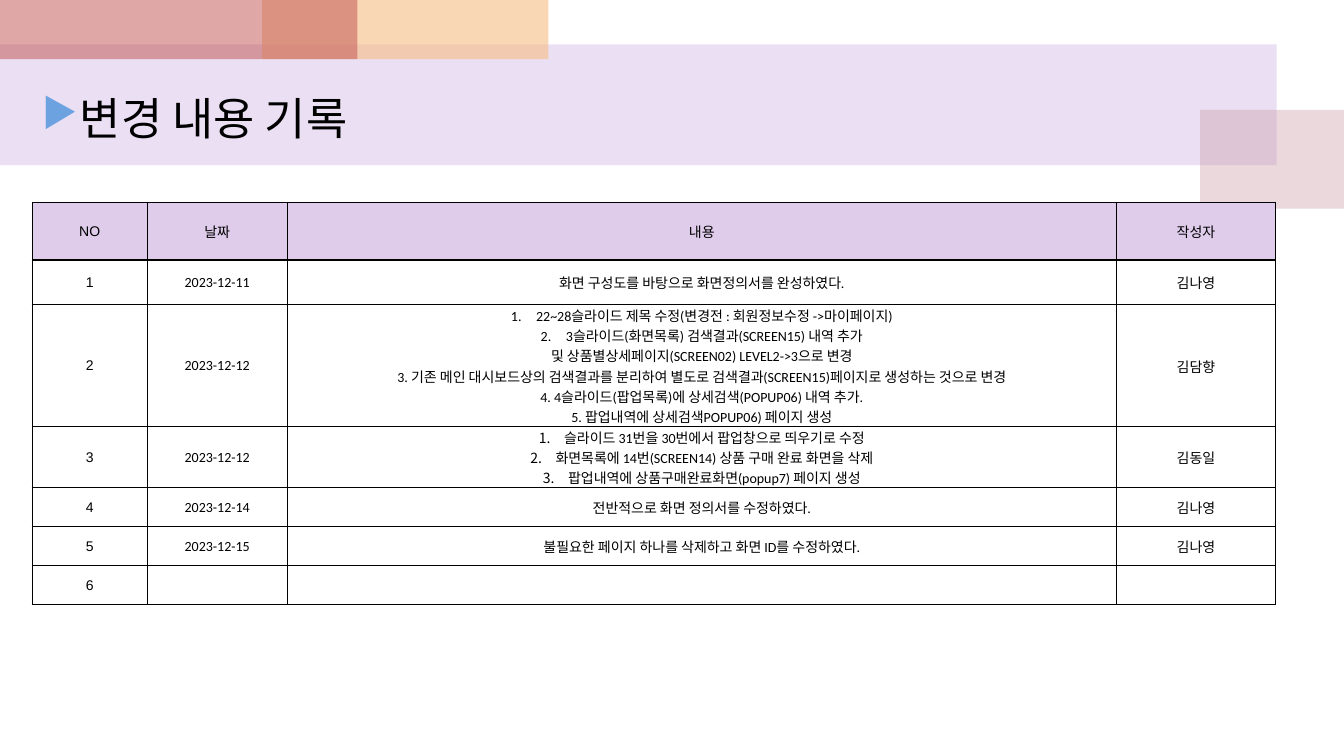
from dataclasses import dataclass

import pptx
import pptx.dml.color
import pptx.enum.shapes
import pptx.enum.text
import pptx.oxml.ns
import pptx.util
from lxml import etree

Pt = pptx.util.Pt
RGB = pptx.dml.color.RGBColor
ALIGN = pptx.enum.text.PP_ALIGN
MIDDLE = pptx.enum.text.MSO_ANCHOR.MIDDLE
qn = pptx.oxml.ns.qn

BLACK = RGB(0x00, 0x00, 0x00)
LILAC = RGB(0xBF, 0x98, 0xD8)
ROSE = RGB(0xCC, 0x9E, 0xAC)
PEACH = RGB(0xF5, 0xBC, 0x83)
RED = RGB(0xC0, 0x50, 0x4D)
BLUE = RGB(0x6B, 0xA2, 0xDF)
HEADER = RGB(0xDF, 0xCC, 0xEB)


@dataclass
class Band:
    left: float
    top: float
    width: float
    height: float
    color: RGB
    alpha: int


@dataclass
class Entry:
    height: float
    cells: tuple[str, str, str, str]
    listed: int = 0


BANDS = [
    Band(0, 31.7, 912, 86.4, LILAC, 30),
    Band(857.2, 78.5, 102.8, 70.5, ROSE, 40),
    Band(187.2, 0, 204.5, 42.3, PEACH, 60),
    Band(0, 0, 255.4, 42.3, RED, 50),
]

WIDTHS = [82.1, 100.1, 592.2, 113.8]

ENTRIES = [
    Entry(41, ("NO", "날짜", "내용", "작성자")),
    Entry(32, ("1", "2023-12-11", "화면 구성도를 바탕으로 화면정의서를 완성하였다.", "김나영")),
    Entry(87, ("2", "2023-12-12", "\n".join([
        "22~28슬라이드 제목 수정(변경전 : 회원정보수정 ->마이페이지)",
        "3슬라이드(화면목록) 검색결과(SCREEN15) 내역 추가",
        "및 상품별상세페이지(SCREEN02) LEVEL2->3으로 변경",
        "3. 기존 메인 대시보드상의 검색결과를 분리하여 별도로 검색결과(SCREEN15)페이지로 생성하는 것으로 변경",
        "4. 4슬라이드(팝업목록)에 상세검색(POPUP06) 내역 추가.",
        "5. 팝업내역에 상세검색POPUP06) 페이지 생성",
    ]), "김담향"), 2),
    Entry(43.5, ("3", "2023-12-12", "\n".join([
        "슬라이드 31번을 30번에서 팝업창으로 띄우기로 수정",
        "화면목록에 14번(SCREEN14) 상품 구매 완료 화면을 삭제",
        "팝업내역에 상품구매완료화면(popup7) 페이지 생성",
    ]), "김동일"), 3),
    Entry(27.9, ("4", "2023-12-14", "전반적으로 화면 정의서를 수정하였다.", "김나영")),
    Entry(27.9, ("5", "2023-12-15", "불필요한 페이지 하나를 삭제하고 화면 ID를 수정하였다.", "김나영")),
    Entry(27.9, ("6", "", "", "")),
]


def apply(target: object, form: dict) -> None:
    for name, value in form.items():
        setattr(target, name, value)


def add_tag(parent: etree._Element, tag: str, **attrs: str) -> etree._Element:
    return etree.SubElement(parent, qn(tag), attrs)


def indent(para: object, size: float) -> etree._Element:
    props = para._p.get_or_add_pPr()
    props.set("marL", str(Pt(size)))
    props.set("indent", str(-Pt(size)))
    return props


def write(para: object, text: str, size: int, face: str) -> None:
    run = para.add_run()
    run.text = text
    apply(run.font, {"size": Pt(size), "name": face, "bold": False})
    run.font.color.rgb = BLACK


def draw_band(slide: object, band: Band) -> None:
    box = (Pt(v) for v in (band.left, band.top, band.width, band.height))
    shape = slide.shapes.add_shape(pptx.enum.shapes.MSO_SHAPE.RECTANGLE, *box)
    shape.shadow.inherit = False
    shape.line.fill.background()
    shape.fill.solid()
    shape.fill.fore_color.rgb = band.color
    color = shape._element.spPr.find(".//" + qn("a:srgbClr"))
    add_tag(color, "a:alpha", val=str(band.alpha * 1000))


def draw_title(slide: object, text: str) -> None:
    frame = slide.shapes.add_textbox(Pt(23), Pt(60), Pt(487.4), Pt(48)).text_frame
    apply(frame, {"word_wrap": True, "vertical_anchor": MIDDLE})
    para = frame.paragraphs[0]
    props = indent(para, 27)
    add_tag(add_tag(props, "a:buClr"), "a:srgbClr", val=str(BLUE))
    add_tag(props, "a:buSzPct", val="90000")
    add_tag(props, "a:buChar", char="▶")
    write(para, text, 32, "Calibri")


def draw_edges(cell: object) -> None:
    props = cell._tc.get_or_add_tcPr()
    for side in ("L", "R", "T", "B"):
        line = add_tag(props, f"a:ln{side}", w=str(Pt(1)))
        add_tag(add_tag(line, "a:solidFill"), "a:srgbClr", val=str(BLACK))


def fill_cell(cell: object, text: str, face: str, head: bool, listed: int) -> None:
    draw_edges(cell)
    apply(cell, {
        "vertical_anchor": MIDDLE,
        "margin_left": Pt(1),
        "margin_right": Pt(1),
        "margin_top": Pt(0.5),
        "margin_bottom": Pt(0),
    })
    if head:
        cell.fill.solid()
        cell.fill.fore_color.rgb = HEADER
    else:
        cell.fill.background()
    frame = cell.text_frame
    for i, line in enumerate(text.split("\n")):
        para = frame.add_paragraph() if i else frame.paragraphs[0]
        para.alignment = ALIGN.CENTER
        if i < listed:
            add_tag(indent(para, 18), "a:buAutoNum", type="arabicPeriod")
        if line:
            write(para, line, 10, face)


def draw_table(slide: object) -> None:
    high = sum(entry.height for entry in ENTRIES)
    frame = slide.shapes.add_table(
        len(ENTRIES), len(WIDTHS), Pt(23), Pt(144.7), Pt(sum(WIDTHS)), Pt(high))
    table = frame.table
    apply(table, {"first_row": False, "horz_banding": False})
    for col, width in zip(table.columns, WIDTHS):
        col.width = Pt(width)
    for r, entry in enumerate(ENTRIES):
        table.rows[r].height = Pt(entry.height)
        for c, text in enumerate(entry.cells):
            face = "Arial" if r == 0 or c == 0 else "Calibri"
            listed = entry.listed if c == 2 else 0
            fill_cell(table.cell(r, c), text, face, r == 0, listed)


def main() -> None:
    deck = pptx.Presentation()
    apply(deck, {"slide_width": Pt(960), "slide_height": Pt(540)})
    slide = deck.slides.add_slide(deck.slide_layouts[6])
    for band in BANDS:
        draw_band(slide, band)
    draw_title(slide, "변경 내용 기록")
    draw_table(slide)
    deck.save("out.pptx")


if __name__ == "__main__":
    main()
